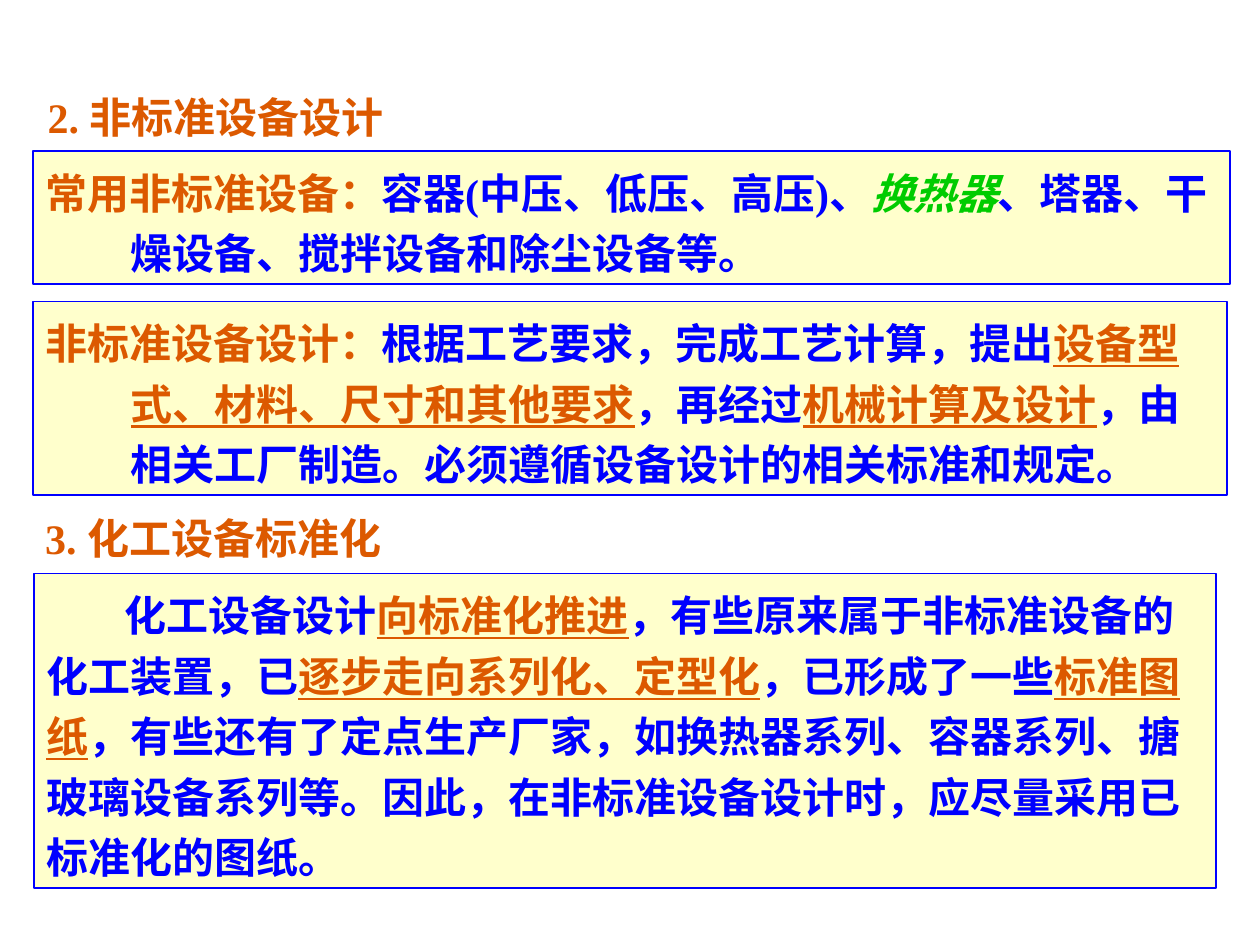
from pptx import Presentation
from pptx.dml.color import RGBColor
from pptx.enum.lang import MSO_LANGUAGE_ID
from pptx.enum.shapes import MSO_SHAPE
from pptx.enum.text import MSO_ANCHOR, PP_ALIGN
from pptx.util import Inches, Pt

CHINESE = MSO_LANGUAGE_ID.SIMPLIFIED_CHINESE
RECTANGLE = MSO_SHAPE.RECTANGLE
TOP, LEFT = MSO_ANCHOR.TOP, PP_ALIGN.LEFT

THEME = {
    "font": "Times New Roman", "size": Pt(24), "line": Pt(1), "spacing": 1.2,
    "accent": RGBColor(0xDC, 0x59, 0x00),
    "body": RGBColor(0x00, 0x00, 0xFF),
    "example": RGBColor(0x00, 0xCC, 0x00),
    "panel": RGBColor(0xFF, 0xFF, 0xCC),
}

# Run styles: theme colour plus extra font values
STYLES = {
    "title": ("accent", {}),
    "body": ("body", {}),
    "key": ("accent", {"underline": True}),
    "example": ("example", {"italic": True}),
}

# Paragraph indents in inches: left margin, first line
HANGING, FIRST_LINE = (0.68, -0.68), (0, 0.62)

# Tops and sizes as shares of the slide
SLIDE_WIDTH, SLIDE_HEIGHT = 10, 7.5
MARGIN = 0.026
HEADING_HEIGHT = 0.5 / SLIDE_HEIGHT

HEADINGS = [
    ("2. 非标准设备设计", 0.028, 0.09, 0.396),
    ("3. 化工设备标准化", MARGIN, 0.536, 0.415),
]

PANELS = [
    ((MARGIN, 0.16, 0.95, 0.141), HANGING, [
        ("常用非标准设备：", "title"),
        ("容器(中压、低压、高压)、", "body"),
        ("换热器", "example"),
        ("、塔器、干燥设备、搅拌设备和除尘设备等。", "body"),
    ]),
    ((MARGIN, 0.319, 0.948, 0.205), HANGING, [
        ("非标准设备设计：", "title"),
        ("根据工艺要求，完成工艺计算，提出", "body"),
        ("设备型式、材料、尺寸和其他要求", "key"),
        ("，再经过", "body"),
        ("机械计算及设计", "key"),
        ("，由相关工厂制造。必须遵循设备设计的相关标准和规定。", "body"),
    ]),
    ((0.027, 0.607, 0.938, 0.333), FIRST_LINE, [
        ("化工设备设计", "body"),
        ("向标准化推进", "key"),
        ("，有些原来属于非标准设备的化工装置，已", "body"),
        ("逐步走向系列化、定型化", "key"),
        ("，已形成了一些", "body"),
        ("标准图纸", "key"),
        ("，有些还有了定点生产厂家，如换热器系列、容器系列、搪玻璃设备系列等。"
         "因此，在非标准设备设计时，应尽量采用已标准化的图纸。", "body"),
    ]),
]


def place(left, top, width, height):
    """Turn shares of the slide into lengths."""
    return (Inches(left * SLIDE_WIDTH), Inches(top * SLIDE_HEIGHT),
            Inches(width * SLIDE_WIDTH), Inches(height * SLIDE_HEIGHT))


def write_runs(shape, runs):
    frame = shape.text_frame
    frame.word_wrap = True
    frame.vertical_anchor = TOP
    paragraph = frame.paragraphs[0]
    paragraph.alignment = LEFT
    for text, style in runs:
        colour, extras = STYLES[style]
        run = paragraph.add_run()
        run.text = text
        values = {"name": THEME["font"], "size": THEME["size"], "bold": True,
                  "language_id": CHINESE, **extras}
        for name, value in values.items():
            setattr(run.font, name, value)
        run.font.color.rgb = THEME[colour]
    return paragraph


def add_panel(slide, box, indents, runs):
    shape = slide.shapes.add_shape(RECTANGLE, *place(*box))
    shape.shadow.inherit = False
    shape.fill.solid()
    shape.fill.fore_color.rgb = THEME["panel"]
    shape.line.color.rgb = THEME["body"]
    shape.line.width = THEME["line"]
    paragraph = write_runs(shape, runs)
    paragraph.line_spacing = THEME["spacing"]
    properties = paragraph._p.get_or_add_pPr()
    for name, length in zip(("marL", "indent"), indents):
        properties.set(name, str(Inches(length)))


def main():
    presentation = Presentation()
    presentation.slide_width = Inches(SLIDE_WIDTH)
    presentation.slide_height = Inches(SLIDE_HEIGHT)
    slide = presentation.slides.add_slide(presentation.slide_layouts[6])
    for text, left, top, width in HEADINGS:
        box = slide.shapes.add_textbox(*place(left, top, width, HEADING_HEIGHT))
        write_runs(box, [(text, "title")])
    for panel in PANELS:
        add_panel(slide, *panel)
    presentation.save("out.pptx")


if __name__ == "__main__":
    main()
